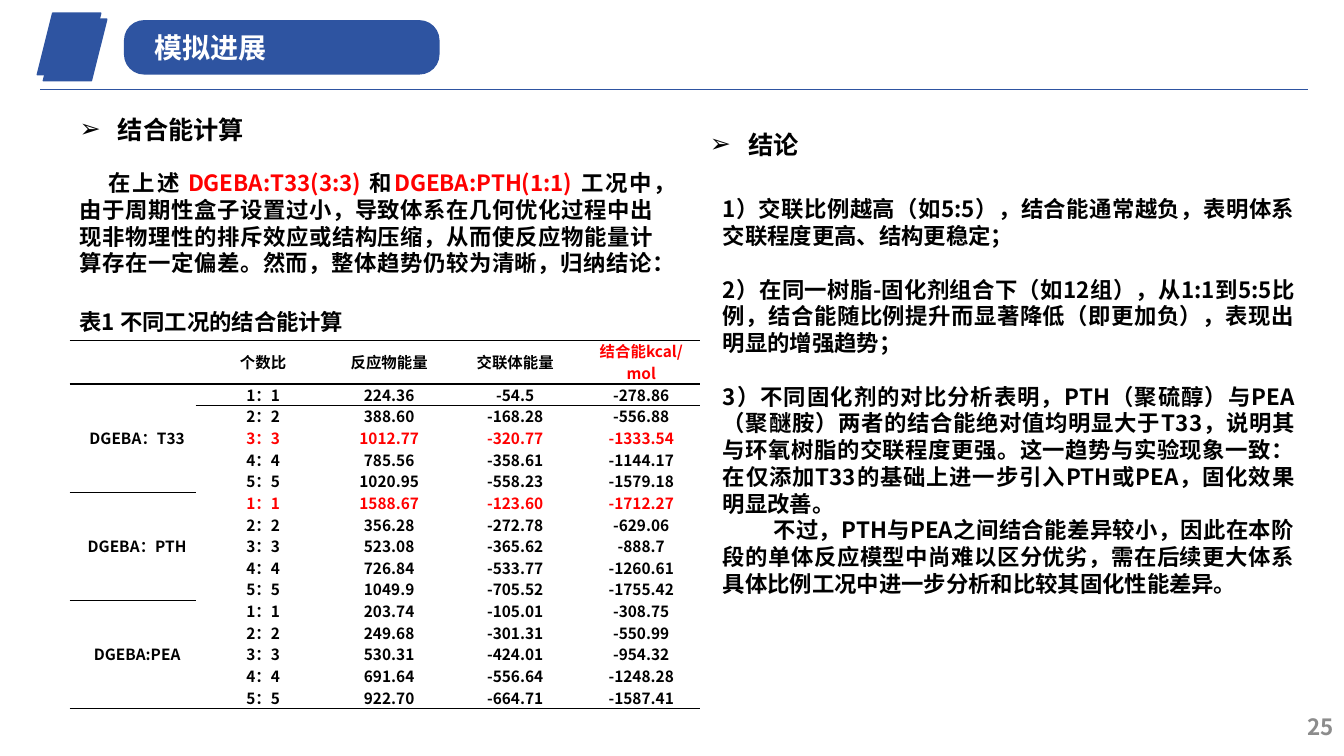
import lxml.etree
import pptx
import pptx.dml.color
import pptx.enum.shapes
import pptx.enum.text
import pptx.oxml.ns
import pptx.util

PX = 9144  # 100 px to the inch
FONT = "Noto Sans CJK SC"
HUES = {"blue": "2E54A1", "white": "FFFFFF", "black": "000000", "red": "FF0000", "gray": "8C8C8C"}
PLAIN = "{2D5ABB26-0587-4C30-8999-92F81FD0307C}"
RGB = {name: pptx.dml.color.RGBColor.from_string(code) for name, code in HUES.items()}
ALIGN = pptx.enum.text.PP_ALIGN
ANCHOR = pptx.enum.text.MSO_ANCHOR
SHAPE = pptx.enum.shapes.MSO_SHAPE
Pt = pptx.util.Pt
qn = pptx.oxml.ns.qn


def place(item, box, anchor=ANCHOR.MIDDLE):
    """Move a text shape to its box in px and return its first paragraph."""
    for side, length in zip(("left", "top", "width", "height"), box):
        setattr(item, side, length * PX)
    frame = item.text_frame
    form = {"word_wrap": True, "auto_size": pptx.enum.text.MSO_AUTO_SIZE.NONE,
            "vertical_anchor": anchor}
    for key, value in form.items():
        setattr(frame, key, value)
    return frame.paragraphs[0]


def write(para, runs, size, align=ALIGN.LEFT, pitch=None, gap=0, left=0, first=0,
          bullet="buNone", **mark):
    """Fill a paragraph with (text, colour) runs; left and first are indents in px."""
    form = {"alignment": align, "line_spacing": pitch and Pt(pitch), "space_before": Pt(gap)}
    for key, value in form.items():
        setattr(para, key, value)
    props = para._p.get_or_add_pPr()
    props.set("marL", str(left * PX))
    props.set("indent", str(first * PX))
    lxml.etree.SubElement(props, qn("a:" + bullet), **mark)
    for text, hue in runs:
        run = para.add_run()
        run.text = text
        for key, value in {"name": FONT, "size": Pt(size), "bold": True}.items():
            setattr(run.font, key, value)
        run.font.color.rgb = RGB[hue]


deck = pptx.Presentation()
deck.slide_width, deck.slide_height = 1333 * PX, 750 * PX
slide = deck.slides.add_slide(deck.slide_layouts.get_by_name("Comparison"))
shapes = slide.shapes
title, head1, body1, head2, body2 = slide.placeholders

# Banner
for kind, box, edge in (
    (SHAPE.PARALLELOGRAM, (37, 13, 63, 61), True),
    (SHAPE.PARALLELOGRAM, (43, 19, 63, 61), True),
    (SHAPE.ROUNDED_RECTANGLE, (123, 20, 313, 54), False),
):
    badge = shapes.add_shape(kind, *(length * PX for length in box))
    badge.shadow.inherit = False
    badge.fill.solid()
    badge.fill.fore_color.rgb = RGB["blue"]
    if edge:
        badge.line.color.rgb = RGB["blue"]
        badge.line.width = Pt(1)
    else:
        badge.line.fill.background()
        badge.adjustments[0] = 0.37

rule = shapes.add_connector(pptx.enum.shapes.MSO_CONNECTOR.STRAIGHT,
                            40 * PX, 89 * PX, 1297 * PX, 89 * PX)
rule.line.color.rgb = RGB["blue"]
rule.line.width = Pt(0.75)
lxml.etree.SubElement(rule.element.spPr, qn("a:effectLst"))

title.element.getparent().append(title.element)  # bring in front of the banner
write(place(title, (143, 25, 273, 44)), [("模拟进展", "white")], 20)

# Headings and text
for head, box, text in (
    (head1, (69, 108, 667, 40), "结合能计算"),
    (head2, (694, 123, 667, 40), "结论"),
):
    write(place(head, box), [(text, "black")], 18, left=38, first=-38, bullet="buChar", char="➢")

BODY = {"size": 16, "align": ALIGN.JUSTIFY, "pitch": 19.1}
write(place(body1, (69, 163, 589, 116), ANCHOR.TOP), [
    ("在上述", "black"),
    (" DGEBA:T33(3:3) ", "red"),
    ("和", "black"),
    ("DGEBA:PTH(1:1) ", "red"),
    ("工况中，由于周期性盒子设置过小，导致体系在几何优化过程中出现非物理性的排斥效应或结构压缩，"
     "从而使反应物能量计算存在一定偏差。然而，整体趋势仍较为清晰，归纳结论：", "black"),
], first=29, **BODY)

points = (
    ("）交联比例越高（如5:5），结合能通常越负，表明体系交联程度更高、结构更稳定；",
     {"bullet": "buAutoNum", "type": "arabicPlain"}),
    ("2）在同一树脂-固化剂组合下（如12组），从1:1到5:5比例，结合能随比例提升而显著降低"
     "（即更加负），表现出明显的增强趋势；", {"gap": 19.1}),
    ("3）不同固化剂的对比分析表明，PTH（聚硫醇）与PEA（聚醚胺）两者的结合能绝对值均明显大于T33，"
     "说明其与环氧树脂的交联程度更强。这一趋势与实验现象一致：在仅添加T33的基础上进一步引入"
     "PTH或PEA，固化效果明显改善。", {"gap": 19.1}),
    ("不过，PTH与PEA之间结合能差异较小，因此在本阶段的单体反应模型中尚难以区分优劣，"
     "需在后续更大体系具体比例工况中进一步分析和比较其固化性能差异。", {"first": 50}),
)
para = place(body2, (707, 189, 587, 414), ANCHOR.TOP)
for num, (text, form) in enumerate(points):
    if num:
        para = body2.text_frame.add_paragraph()
    write(para, [(text, "black")], **BODY, **form)

note = shapes.add_textbox(0, 0, 0, 0)
write(place(note, (69, 301, 556, 37)), [("表1 不同工况的结合能计算", "black")], 16, ALIGN.JUSTIFY)
page = shapes.add_textbox(0, 0, 0, 0)
write(place(page, (1038, 703, 295, 35)), [("25", "gray")], 16, ALIGN.RIGHT)

# Energy table
groups = {
    "DGEBA：T33": (
        ("224.36", "-54.5", "-278.86"), ("388.60", "-168.28", "-556.88"),
        ("1012.77", "-320.77", "-1333.54"), ("785.56", "-358.61", "-1144.17"),
        ("1020.95", "-558.23", "-1579.18")),
    "DGEBA：PTH": (
        ("1588.67", "-123.60", "-1712.27"), ("356.28", "-272.78", "-629.06"),
        ("523.08", "-365.62", "-888.7"), ("726.84", "-533.77", "-1260.61"),
        ("1049.9", "-705.52", "-1755.42")),
    "DGEBA:PEA": (
        ("203.74", "-105.01", "-308.75"), ("249.68", "-301.31", "-550.99"),
        ("530.31", "-424.01", "-954.32"), ("691.64", "-556.64", "-1248.28"),
        ("922.70", "-664.71", "-1587.41")),
}
rows = [("", "个数比", "反应物能量", "交联体能量", "结合能kcal/mol")]
for name, trials in groups.items():
    for num, trial in enumerate(trials, 1):
        rows.append((name if num == 1 else "", f"{num}：{num}", *trial))
LAST = len(rows) - 1
STARTS = (1, 6, 11)
RED = {(0, 4)} | {(row, col) for row in (3, 6) for col in range(1, 5)}

frame = shapes.add_table(len(rows), 5, 69 * PX, 338 * PX, 625 * PX, 365 * PX)
next(frame.element.iter(qn("a:tableStyleId"))).text = PLAIN
table = frame.table
table.first_row = table.horz_banding = False
for row, line in enumerate(table.rows):
    line.height = (365 - 43) * PX // LAST if row else 43 * PX
for start in STARTS:
    table.cell(start, 0).merge(table.cell(start + 4, 0))

for row, texts in enumerate(rows):
    for col, text in enumerate(texts):
        cell = table.cell(row, col)
        form = {"margin_left": 7 * PX, "margin_right": 7 * PX, "margin_top": 0,
                "margin_bottom": 0, "vertical_anchor": ANCHOR.MIDDLE}
        for key, value in form.items():
            setattr(cell, key, value)
        cell.fill.background()
        if text:
            hue = "red" if (row, col) in RED else "black"
            write(cell.text_frame.paragraphs[0], [(text, hue)], 11, ALIGN.CENTER, 15.4, left=9)
        edges = {}
        if row in (0, LAST) or (col == 0 and row in STARTS):
            edges["lnB"] = 1 if row in (0, LAST) or row == STARTS[-1] else 0.5
        if row < 2 or (col == 0 and row in STARTS):
            edges["lnT"] = 1 if row < 2 else 0.5
        for edge, width in edges.items():
            border = lxml.etree.Element(qn("a:" + edge), w=str(Pt(width)))
            paint = lxml.etree.SubElement(border, qn("a:solidFill"))
            lxml.etree.SubElement(paint, qn("a:srgbClr"), val=HUES["black"])
            cell._tc.get_or_add_tcPr().insert(0, border)

# East Asian glyphs take the same font
for latin in list(slide.element.iter(qn("a:latin"))):
    latin.addnext(lxml.etree.Element(qn("a:ea"), typeface=FONT))

deck.save("out.pptx")
